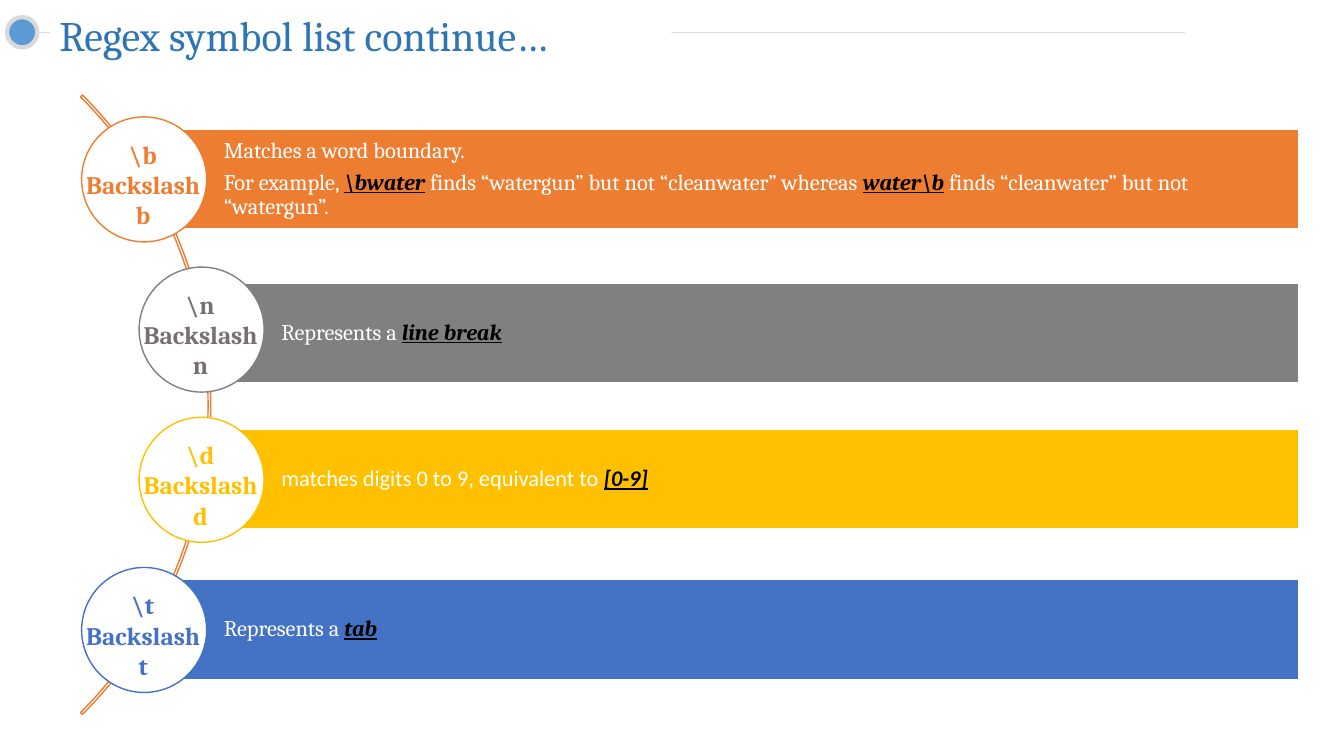
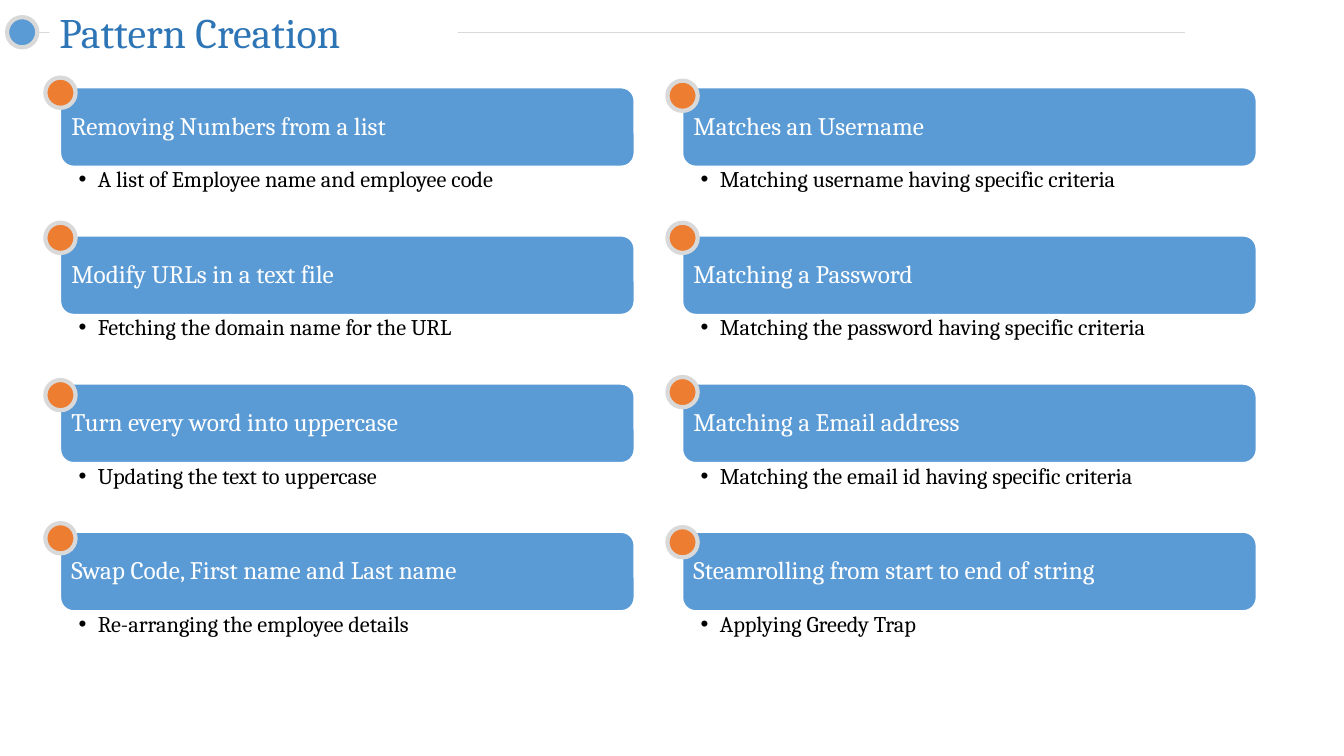
"""Build two slides about regular expressions: a symbol list and a set of patterns."""
from lxml.etree import SubElement
from pptx import Presentation
from pptx.dml.color import RGBColor
from pptx.enum.shapes import MSO_CONNECTOR as Connector, MSO_SHAPE as Shape
from pptx.enum.text import MSO_ANCHOR as Anchor, MSO_AUTO_SIZE as AutoSize, PP_ALIGN as Align
from pptx.oxml.ns import qn
from pptx.util import Inches, Pt

SERIF, SANS = "Cambria", "Calibri"
WHITE, BLACK, PALE = "FFFFFF", "000000", "D9D9D9"
BLUE, TITLE_BLUE, ORANGE = "5B9BD5", "2E75B6", "ED7D31"
DOT_SIZE = 0.3

CIRCLE_SIZE, CIRCLE_TOP, CIRCLE_STEP = 1.24, 1.16, 1.49
BAR_RIGHT, BAR_HEIGHT = 12.88, 0.99
OUTER, INNER = 1.43, 2.0
# Odd pieces of each paragraph are emphasised.
SYMBOLS = [
    ("b", OUTER, 1.28, ORANGE, ORANGE, SERIF, [
        ["Matches a word boundary."],
        ["For example, ", "\\bwater", " finds “watergun” but not “cleanwater” whereas ",
         "water\\b", " finds “cleanwater” but not “watergun”."]]),
    ("n", INNER, 2.81, "808080", "767171", SERIF, [["Represents a ", "line break"]]),
    ("d", INNER, 4.26, "FFC000", "FFC000", SANS,
     [["matches digits 0 to 9, equivalent to ", "[0-9]"]]),
    ("t", OUTER, 5.75, "4472C4", "4472C4", SERIF, [["Represents a ", "tab"]]),
]

CARD_TOP, CARD_STEP, CARD_WIDTH, CARD_HEIGHT = 0.87, 1.47, 5.69, 0.78
PATTERNS = {
    0.6: [
        ("Removing Numbers from a list", "A list of Employee name and employee code", 0.77),
        ("Modify URLs in a text file", "Fetching the domain name for the URL", 2.21),
        ("Turn every word into uppercase", "Updating the text to uppercase", 3.77),
        ("Swap Code, First name and Last name", "Re-arranging the employee details", 5.19),
    ],
    6.77: [
        ("Matches an Username", "Matching username having specific criteria", 0.8),
        ("Matching a Password", "Matching the password having specific criteria", 2.21),
        ("Matching a Email address", "Matching the email id having specific criteria", 3.74),
        ("Steamrolling from start to end of string", "Applying Greedy Trap", 5.23),
    ],
}


def colour(value):
    """Turn a hex string into a colour."""
    return RGBColor.from_string(value)


def add_figure(page, kind, left, top, width, height, fill, line, weight=1):
    """Add a preset shape with an outline and an optional fill."""
    figure = page.shapes.add_shape(
        kind, Inches(left), Inches(top), Inches(width), Inches(height))
    figure.shadow.inherit = False
    if fill:
        figure.fill.solid()
        figure.fill.fore_color.rgb = colour(fill)
    else:
        figure.fill.background()
    figure.line.color.rgb = colour(line)
    figure.line.width = Pt(weight)
    return figure


def add_box(page, left, top, width, height):
    """Add an empty wrapping text box."""
    box = page.shapes.add_textbox(Inches(left), Inches(top), Inches(width), Inches(height))
    box.text_frame.word_wrap = True
    return box


def set_insets(frame, left, top, right, bottom):
    """Set the four inner margins of a text frame."""
    frame.margin_left, frame.margin_top = Inches(left), Inches(top)
    frame.margin_right, frame.margin_bottom = Inches(right), Inches(bottom)


def write(frame, paragraphs, size, ink, font=SERIF, bold=None, align=Align.LEFT, gap=None):
    """Fill a frame with paragraphs of pieces, emphasising every second piece."""
    for index, pieces in enumerate(paragraphs):
        para = frame.add_paragraph() if index else frame.paragraphs[0]
        para.alignment = align
        if gap is not None:
            para.line_spacing = 0.9
            para.space_after = Pt(size * gap)
        para.font.size, para.font.name, para.font.bold = Pt(size), font, bold
        para.font.color.rgb = colour(ink)
        for position, piece in enumerate(pieces):
            span = para.add_run()
            span.text = piece
            span.font.size, span.font.name, span.font.bold = Pt(size), font, bold
            span.font.color.rgb = colour(ink)
            if position % 2:
                span.font.bold = span.font.italic = span.font.underline = True
                span.font.color.rgb = colour(BLACK)


def add_bullet(para):
    """Give a paragraph a hanging bullet."""
    properties = para._p.get_or_add_pPr()
    properties.set("marL", str(Inches(0.19)))
    properties.set("indent", str(-Inches(0.19)))
    SubElement(properties, qn("a:buFont")).set("typeface", "Arial")
    SubElement(properties, qn("a:buChar")).set("char", "•")
    for defaults in properties.findall(qn("a:defRPr")):
        properties.append(defaults)


def add_dot(page, left, top, fill):
    """Add a small ringed dot."""
    add_figure(page, Shape.OVAL, left, top, DOT_SIZE, DOT_SIZE, fill, PALE, 3)


def add_page(deck, title, top, width):
    """Add a blank slide with the title rule, dot and title."""
    page = deck.slides.add_slide(deck.slide_layouts[6])
    rule = page.shapes.add_connector(
        Connector.STRAIGHT, Inches(0.32), Inches(0.32), Inches(11.75), Inches(0.32))
    rule.line.color.rgb = colour(PALE)
    rule.line.width = Pt(0.5)
    SubElement(rule._element.spPr, qn("a:effectLst"))
    add_dot(page, 0.07, 0.17, BLUE)
    box = add_box(page, 0.49, top, width, 0.61)
    box.fill.solid()
    box.fill.fore_color.rgb = colour(WHITE)
    box.text_frame.auto_size = AutoSize.SHAPE_TO_FIT_TEXT
    write(box.text_frame, [[title]], 30, TITLE_BLUE)
    return page


def add_symbol(page, row, letter, centre, top, fill, ink, font, paragraphs):
    """Add one symbol: its bar, circle and label."""
    bar = add_figure(page, Shape.RECTANGLE, centre, top, BAR_RIGHT - centre, BAR_HEIGHT,
                     fill, WHITE)
    set_insets(bar.text_frame, 0.79, 0.04, 0.04, 0.04)
    bar.text_frame.vertical_anchor = Anchor.MIDDLE
    write(bar.text_frame, paragraphs, 16, WHITE, font, gap=0.35)
    circle_top = CIRCLE_TOP + row * CIRCLE_STEP
    add_figure(page, Shape.OVAL, centre - CIRCLE_SIZE / 2, circle_top,
               CIRCLE_SIZE, CIRCLE_SIZE, WHITE, fill)
    label = add_box(page, centre - 0.73, circle_top + 0.17, 1.44, 1.01)
    label.text_frame.auto_size = AutoSize.SHAPE_TO_FIT_TEXT
    write(label.text_frame, [["\\" + letter], ["Backslash"], [letter]], 18, ink,
          bold=True, align=Align.CENTER)


def add_pattern(page, left, row, heading, detail, dot_top):
    """Add one pattern: its card, bullet line and dot."""
    top = CARD_TOP + row * CARD_STEP
    card = add_figure(page, Shape.ROUNDED_RECTANGLE, left, top, CARD_WIDTH, CARD_HEIGHT,
                      BLUE, WHITE)
    set_insets(card.text_frame, 0.07, 0.07, 0.07, 0.07)
    card.text_frame.vertical_anchor = Anchor.MIDDLE
    write(card.text_frame, [[heading]], 18, WHITE, gap=0.35)
    box = add_box(page, left, top + CARD_HEIGHT, CARD_WIDTH, 0.69)
    set_insets(box.text_frame, 0.18, 0.02, 0.12, 0.02)
    write(box.text_frame, [[detail]], 16, BLACK, gap=0.2)
    add_bullet(box.text_frame.paragraphs[0])
    add_dot(page, left - 0.15, dot_top, ORANGE)


def build_symbols(deck):
    """Build the symbol list along an arc."""
    page = add_page(deck, "Regex symbol list continue…", 0.05, 6.17)
    arc = add_figure(page, Shape.BLOCK_ARC, -6.6, -0.33, 8.69, 8.69, None, ORANGE)
    for index, value in enumerate((189, 27, 0.003)):
        arc.adjustments[index] = value
    for row, symbol in enumerate(SYMBOLS):
        add_symbol(page, row, *symbol)


def build_patterns(deck):
    """Build the two columns of patterns."""
    page = add_page(deck, "Pattern Creation", 0.02, 4.05)
    for left, patterns in PATTERNS.items():
        for row, pattern in enumerate(patterns):
            add_pattern(page, left, row, *pattern)


def main():
    """Build and save the deck."""
    deck = Presentation()
    deck.slide_width, deck.slide_height = Inches(13.33), Inches(7.5)
    build_symbols(deck)
    build_patterns(deck)
    deck.save("out.pptx")


if __name__ == "__main__":
    main()
